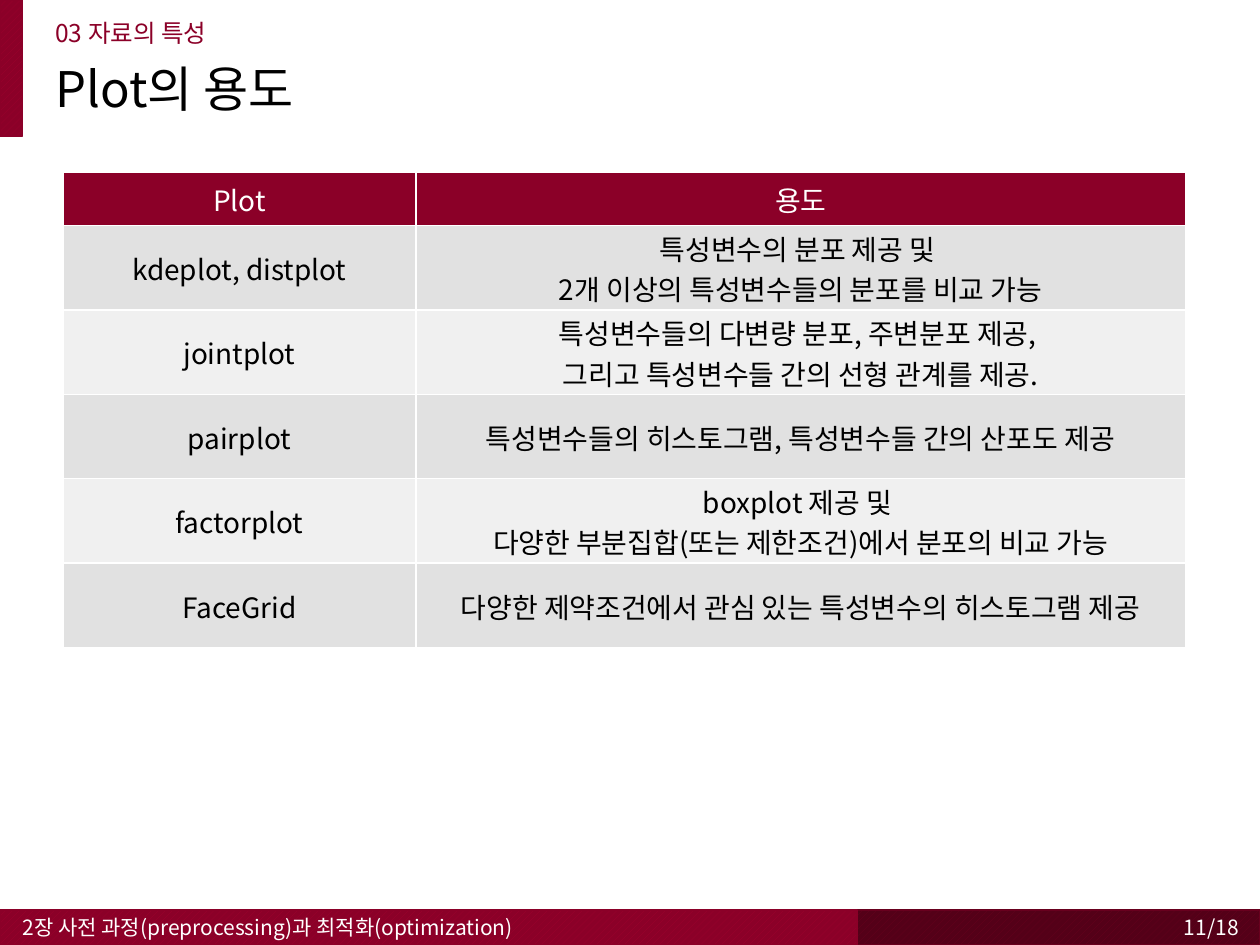
from pptx import Presentation
from pptx.dml.color import RGBColor
from pptx.enum.dml import MSO_PATTERN
from pptx.enum.shapes import MSO_SHAPE
from pptx.enum.text import MSO_ANCHOR, PP_ALIGN
from pptx.oxml.ns import qn
from pptx.util import Inches, Pt

FONT = "Noto Sans CJK KR"
CRIMSON = RGBColor(0x8B, 0x00, 0x28)
CRIMSON_LIGHT = RGBColor(0x9E, 0x00, 0x2D)
WINE = RGBColor(0x54, 0x00, 0x18)
WINE_LIGHT = RGBColor(0x68, 0x00, 0x1E)
BLACK = RGBColor(0x00, 0x00, 0x00)
WHITE = RGBColor(0xFF, 0xFF, 0xFF)
BANDS = (RGBColor(0xE1, 0xE1, 0xE1), RGBColor(0xF0, 0xF0, 0xF0))

W, H = 10, 7.5
FOOTER_H = 0.28
HEADER_ROW, BODY_ROW = 0.42, 0.67
PLOTS = [
    ("Plot", "용도"),
    ("kdeplot, distplot", "특성변수의 분포 제공 및 \v2개 이상의 특성변수들의 분포를 비교 가능"),
    ("jointplot", "특성변수들의 다변량 분포, 주변분포 제공, \v그리고 특성변수들 간의 선형 관계를 제공."),
    ("pairplot", "특성변수들의 히스토그램, 특성변수들 간의 산포도 제공"),
    ("factorplot", "boxplot 제공 및 \v다양한 부분집합(또는 제한조건)에서 분포의 비교 가능"),
    ("FaceGrid", "다양한 제약조건에서 관심 있는 특성변수의 히스토그램 제공"),
]


def write(tf, text, size, color, align=PP_ALIGN.LEFT, spacing=1.0):
    p = tf.paragraphs[0]
    p.text = text
    p.alignment = align
    p.line_spacing = spacing
    p.space_before = Pt(0)
    for r in p.runs:
        r.font.size = Pt(size)
        r.font.name = FONT
        r.font.color.rgb = color
        ea = r.font._element.makeelement(qn("a:ea"), {"typeface": FONT})
        r.font._element.find(qn("a:latin")).addnext(ea)


def place(sp, box):
    sp.left, sp.top, sp.width, sp.height = map(Inches, box)


def add_label(slide, box, text, anchor=MSO_ANCHOR.MIDDLE, **fmt):
    sp = slide.shapes.add_textbox(*map(Inches, box))
    format_frame(sp.text_frame, anchor)
    write(sp.text_frame, text, **fmt)


def format_frame(tf, anchor):
    tf.word_wrap = True
    tf.vertical_anchor = anchor
    tf.margin_top = tf.margin_bottom = 0


def add_band(slide, box, fore, back, line):
    sp = slide.shapes.add_shape(MSO_SHAPE.RECTANGLE, *map(Inches, box))
    sp.shadow.inherit = False
    sp.fill.patterned()
    sp.fill.pattern = MSO_PATTERN.WIDE_UPWARD_DIAGONAL
    sp.fill.fore_color.rgb = fore
    sp.fill.back_color.rgb = back
    sp.line.color.rgb = line
    sp.line.width = Pt(1)


def add_header(slide, box):
    x, y, w, h = box
    add_band(slide, (x, y, 0.18, h), CRIMSON_LIGHT, CRIMSON, CRIMSON)
    left, width = x + 0.34, w - 0.77
    title = slide.shapes.title
    place(title, (left, y + 0.52, width, 0.56))
    format_frame(title.text_frame, MSO_ANCHOR.TOP)
    write(title.text_frame, "Plot의 용도", size=28, color=BLACK, spacing=0.9)
    add_label(slide, (left, y + 0.17, width, 0.26), "03 자료의 특성",
              anchor=MSO_ANCHOR.TOP, size=14, color=CRIMSON, spacing=0.9)


def add_footer(slide, box):
    x, y, w, h = box
    split = 0.68 * w
    add_band(slide, (x + split, y, w - split, h), WINE_LIGHT, WINE, WINE_LIGHT)
    add_band(slide, (x, y, split, h), CRIMSON_LIGHT, CRIMSON, CRIMSON)
    add_label(slide, (x + 0.08, y, 0.5 * w, h),
              "2장 사전 과정(preprocessing)과 최적화(optimization)", size=12, color=WHITE)
    add_label(slide, (x + 0.77 * w, y, 0.22 * w + 0.03, h), "11/18",
              size=12, color=WHITE, align=PP_ALIGN.RIGHT)


def add_plot_table(slide, box):
    table = slide.shapes.add_table(len(PLOTS), 2, *map(Inches, box)).table
    table.first_row = table.horz_banding = False
    first = 2.8
    for col, width in zip(table.columns, (first, box[2] - first)):
        col.width = Inches(width)
    for i, texts in enumerate(PLOTS):
        table.rows[i].height = Inches(BODY_ROW if i else HEADER_ROW)
        for j, text in enumerate(texts):
            cell = table.cell(i, j)
            cell.fill.solid()
            cell.fill.fore_color.rgb = BANDS[(i - 1) % 2] if i else CRIMSON
            cell.vertical_anchor = MSO_ANCHOR.MIDDLE
            cell.margin_left = cell.margin_right = cell.margin_top = Inches(0.01)
            cell.margin_bottom = 0
            write(cell.text_frame, text, size=16, color=BLACK if i else WHITE,
                  align=PP_ALIGN.CENTER)


def main():
    prs = Presentation()
    prs.slide_width, prs.slide_height = Inches(W), Inches(H)
    slide = prs.slides.add_slide(prs.slide_layouts[5])
    add_header(slide, (0, 0, W, 1.08))
    add_plot_table(slide, (0.5, 1.37, 8.91, HEADER_ROW + BODY_ROW * (len(PLOTS) - 1)))
    add_footer(slide, (0, H - FOOTER_H, W, FOOTER_H))
    prs.save("out.pptx")


if __name__ == "__main__":
    main()
